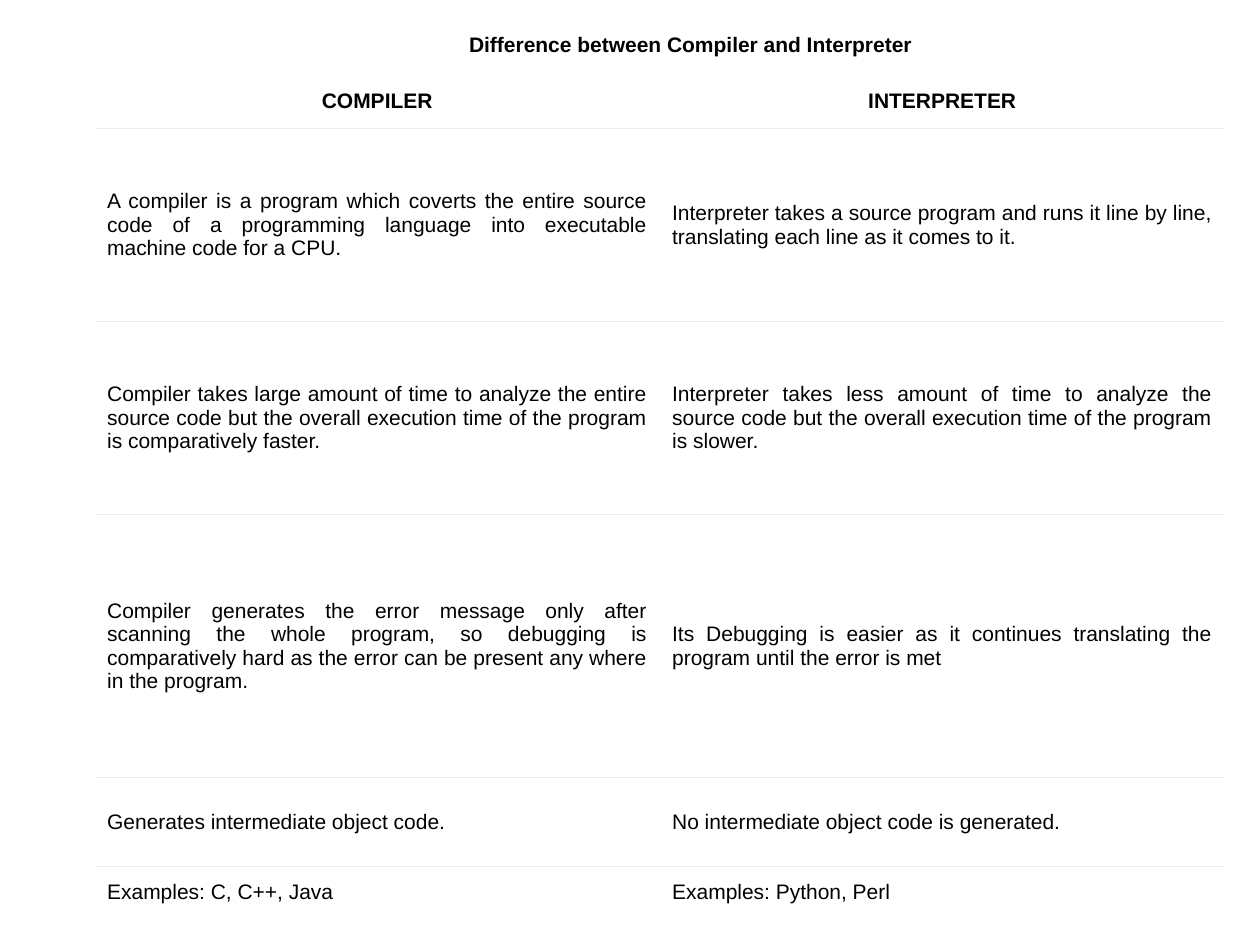
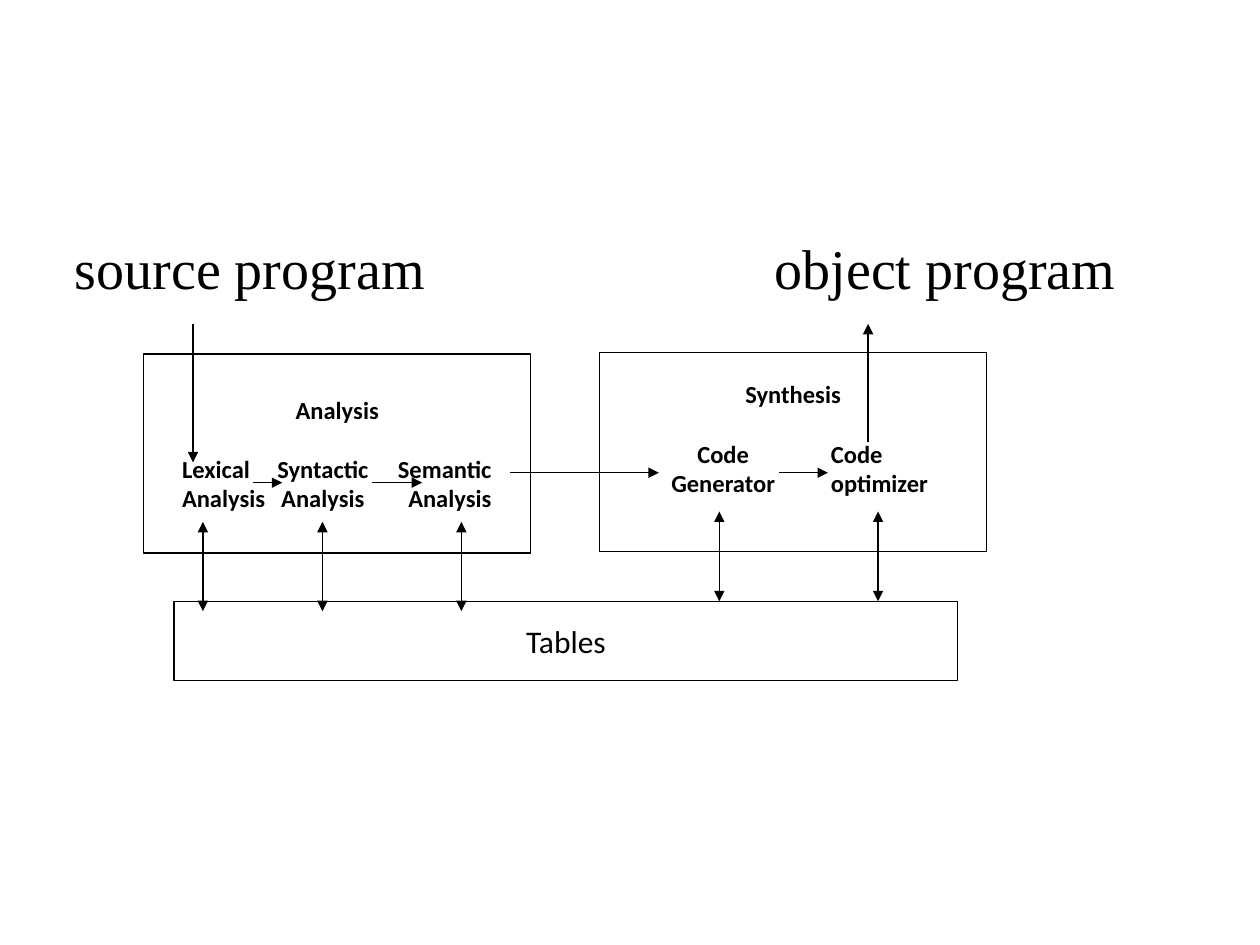
import pptx
import pptx.util
import pptx.dml.color
import pptx.enum.shapes
import pptx.enum.text
import pptx.oxml
import pptx.oxml.ns
import lxml.etree

Cm = pptx.util.Cm
ALIGN = pptx.enum.text.PP_ALIGN
ANCHOR = pptx.enum.text.MSO_ANCHOR
RECTANGLE = pptx.enum.shapes.MSO_SHAPE.RECTANGLE
STRAIGHT = pptx.enum.shapes.MSO_CONNECTOR.STRAIGHT
COLOURS = {"ink": "000000", "paper": "FFFFFF", "rule": "EDEDED"}
RULE_WIDTH = pptx.util.Pt(0.75)


def colour(name):
    return pptx.dml.color.RGBColor.from_string(COLOURS[name])


def write(frame, text, font="Calibri", size=14, bold=False, align=ALIGN.CENTER,
          anchor=ANCHOR.MIDDLE, wrap=True, insets=(0, 0, 0, 0)):
    frame.word_wrap = wrap
    frame.vertical_anchor = anchor
    frame.margin_left, frame.margin_top, frame.margin_right, frame.margin_bottom = map(Cm, insets)
    frame.text = text
    for paragraph in frame.paragraphs:
        paragraph.alignment = align
        for run in paragraph.runs:
            run.font.name = font
            run.font.size = pptx.util.Pt(size)
            run.font.bold = bold
            run.font.color.rgb = colour("ink")


presentation = pptx.Presentation()
presentation.slide_width = Cm(25.4)
presentation.slide_height = Cm(19.05)
blank_layout = presentation.slide_layouts[6]

slide = presentation.slides.add_slide(blank_layout)
comparison = [
    (1.12, "COMPILER", "INTERPRETER"),
    (3.89, "A compiler is a program which coverts the entire source code of a programming "
           "language into executable machine code for a CPU.",
     "Interpreter takes a source program and runs it line by line, translating each line "
     "as it comes to it."),
    (3.89, "Compiler takes large amount of time to analyze the entire source code but the "
           "overall execution time of the program is comparatively faster.",
     "Interpreter takes less amount of time to analyze the source code but the overall "
     "execution time of the program is slower."),
    (5.31, "Compiler generates the error message only after scanning the whole program, so "
           "debugging is comparatively hard as the error can be present any where in the program.",
     "Its Debugging is easier as it continues translating the program until the error is met"),
    (1.78, "Generates intermediate object code.", "No intermediate object code is generated."),
    (1.07, "Examples: C, C++, Java", "Examples: Python, Perl"),
]
last_row = len(comparison) - 1
table = slide.shapes.add_table(
    len(comparison), 2, Cm(1.91), Cm(1.47), Cm(22.78), Cm(17.06)).table
table.first_row = False
table.horz_banding = False
for column in table.columns:
    column.width = Cm(11.39)

for row_index, (height, *texts) in enumerate(comparison):
    table.rows[row_index].height = Cm(height)
    is_header = row_index == 0
    ruled_edges = {"lnT": not is_header, "lnB": row_index < last_row}
    for column_index, text in enumerate(texts):
        cell = table.cell(row_index, column_index)
        write(cell.text_frame, text, font="Arial", size=12, bold=is_header,
              align=ALIGN.CENTER if is_header else ALIGN.JUSTIFY)
        cell.vertical_anchor = ANCHOR.MIDDLE
        cell.margin_left = cell.margin_right = Cm(0.15 if is_header else 0.25)
        cell.margin_top = cell.margin_bottom = Cm(0.15 if is_header else 0.13)
        properties = cell._tc.get_or_add_tcPr()
        for edge in ("lnL", "lnR", "lnT", "lnB"):
            line = lxml.etree.SubElement(
                properties, pptx.oxml.ns.qn("a:" + edge), w=str(RULE_WIDTH))
            if ruled_edges.get(edge):
                fill = lxml.etree.SubElement(line, pptx.oxml.ns.qn("a:solidFill"))
                lxml.etree.SubElement(fill, pptx.oxml.ns.qn("a:srgbClr"), val=COLOURS["rule"])
            else:
                lxml.etree.SubElement(line, pptx.oxml.ns.qn("a:noFill"))
        cell.fill.solid()
        cell.fill.fore_color.rgb = colour("paper")

title = slide.shapes.add_shape(RECTANGLE, Cm(9.24), Cm(0.64), Cm(9.37), Cm(0.51))
title.shadow.inherit = False
title.fill.solid()
title.fill.fore_color.rgb = colour("paper")
title.line.fill.background()
write(title.text_frame, "Difference between Compiler and Interpreter",
      font="Arial", size=12, bold=True, wrap=False)

slide = presentation.slides.add_slide(blank_layout)
for left, text in [(1.51, "source program"), (15.62, "object program")]:
    label = slide.shapes.add_textbox(Cm(left), Cm(4.7), Cm(7.6), Cm(1.3))
    write(label.text_frame, text, font="Times New Roman", size=32,
          align=ALIGN.LEFT, anchor=ANCHOR.TOP)

blocks = [
    ("Analysis", (2.9, 7.14, 7.8, 4.01),
     {"bold": True, "anchor": ANCHOR.TOP, "insets": (0, 0.83, 0, 0)}),
    ("Tables", (3.51, 12.12, 15.8, 1.6), {"size": 18}),
    ("Synthesis", (12.09, 7.11, 7.8, 4.01),
     {"bold": True, "anchor": ANCHOR.TOP, "insets": (0, 0.54, 0, 0)}),
]
for text, box, text_format in blocks:
    block = slide.shapes.add_shape(RECTANGLE, *map(Cm, box))
    block.shadow.inherit = False
    block.fill.background()
    block.line.color.rgb = colour("ink")
    block.line.width = RULE_WIDTH
    write(block.text_frame, text, **text_format)

phases = [
    ("Lexical\nAnalysis", 3.67, 9.15, ALIGN.LEFT),
    ("Syntactic\nAnalysis", 5.31, 9.15, ALIGN.CENTER),
    ("Semantic\nAnalysis", 7.51, 9.15, ALIGN.RIGHT),
    ("Code\nGenerator", 13.38, 8.85, ALIGN.CENTER),
    ("Code\noptimizer", 16.75, 8.85, ALIGN.LEFT),
]
for text, left, top, align in phases:
    phase = slide.shapes.add_textbox(Cm(left), Cm(top), Cm(2.4), Cm(1.2))
    write(phase.text_frame, text, bold=True, align=align, anchor=ANCHOR.TOP)

flow_arrows = [
    (3.89, 6.53, 3.89, 9.32),
    (5.11, 9.73, 5.69, 9.73),
    (7.49, 9.73, 8.51, 9.73),
    (10.29, 9.53, 13.28, 9.53),
    (15.7, 9.53, 16.69, 9.53),
    (17.5, 8.92, 17.5, 6.53),
]
table_arrows = [(x, 10.52, x, 12.32) for x in (4.09, 6.5, 9.3)]
table_arrows += [(x, 10.31, x, 12.12) for x in (14.5, 17.7)]
for arrows, ends in [(flow_arrows, ["tailEnd"]), (table_arrows, ["headEnd", "tailEnd"])]:
    for points in arrows:
        arrow = slide.shapes.add_connector(STRAIGHT, *map(Cm, points))
        arrow.line.color.rgb = colour("ink")
        arrow.line.width = RULE_WIDTH
        for end in ends:
            lxml.etree.SubElement(
                arrow.line._get_or_add_ln(), pptx.oxml.ns.qn("a:" + end), type="triangle")
        lxml.etree.SubElement(arrow._element.spPr, pptx.oxml.ns.qn("a:effectLst"))

presentation.save("out.pptx")
